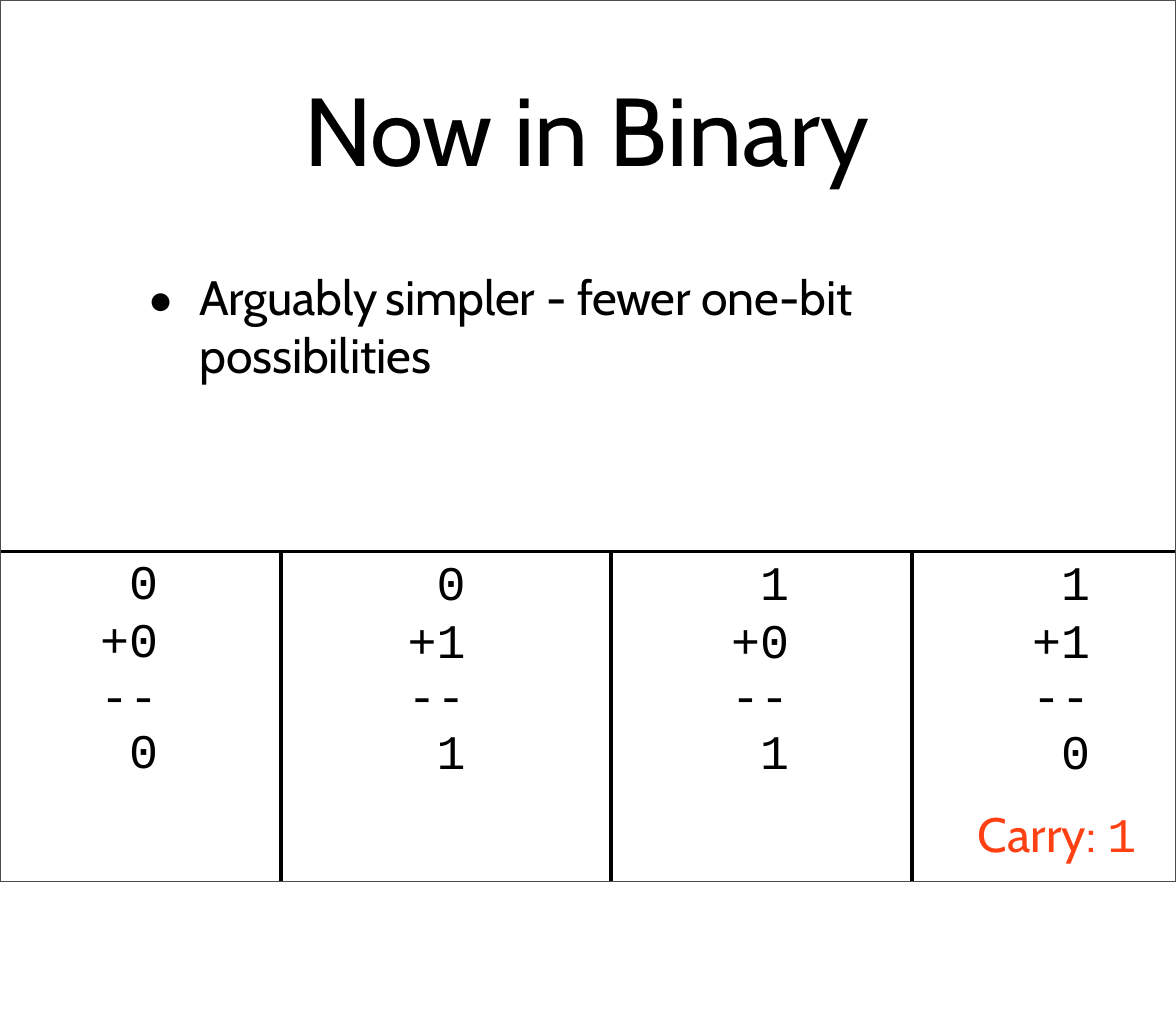
from lxml import etree
from pptx import Presentation
from pptx.dml.color import RGBColor
from pptx.enum.shapes import MSO_CONNECTOR, MSO_SHAPE
from pptx.enum.text import MSO_ANCHOR, MSO_AUTO_SIZE, PP_ALIGN
from pptx.oxml.ns import qn
from pptx.util import Pt

PX = 9144
COLORS = {"text": "000000", "carry": "FF4013", "frame": "4C4C4C"}
SANS, MONO = "Cabin", "Courier New"
WIDTH, HEIGHT, PANEL_H = 1422, 1247, 1066
TABLE_X, TABLE_Y = 117, 667
COLUMN_WIDTHS = [223, 399, 364, 218]
RIGHT_INSETS = [149, 176, 149, 3]
ROW_HEIGHTS = [86, 67, 67, 67]
SUMS = [("0", "+0", "--", "0"), ("0", "+1", "--", "1"),
        ("1", "+0", "--", "1"), ("1", "+1", "--", "0")]


def px(*values):
    return [round(v * PX) for v in values]


def rgb(name):
    return RGBColor.from_string(COLORS[name])


def add_run(p, text, size=42, font=SANS, color="text", spacing=0):
    r = p.add_run()
    r.text = text
    r.font.size = Pt(size)
    r.font.name = font
    r.font.bold = False
    r.font.color.rgb = rgb(color)
    if spacing:
        r._r.get_or_add_rPr().set("spc", str(spacing))


def add_text(slide, box):
    tf = slide.shapes.add_textbox(*px(*box)).text_frame
    tf.word_wrap = True
    tf.auto_size = MSO_AUTO_SIZE.SHAPE_TO_FIT_TEXT
    tf.margin_left = tf.margin_right = tf.margin_bottom = 0
    tf.margin_top = PX
    return tf.paragraphs[0]


def add_title(slide, box):
    p = add_text(slide, box)
    for text, spacing in [("Now ", -30), ("in ", -10), ("Binary", 40)]:
        add_run(p, text, 84, spacing=spacing)


def add_bullet(slide, box):
    p = add_text(slide, box)
    pPr = p._p.get_or_add_pPr()
    pPr.set("marL", str(63 * PX))
    pPr.set("indent", str(-61 * PX))
    etree.SubElement(pPr, qn("a:buSzPct")).set("val", "170000")
    etree.SubElement(pPr, qn("a:buFont")).set("typeface", SANS)
    etree.SubElement(pPr, qn("a:buChar")).set("char", "•")
    tabs = etree.SubElement(pPr, qn("a:tabLst"))
    for pos in (63, 288):
        tab = etree.SubElement(tabs, qn("a:tab"))
        tab.set("pos", str(pos * PX))
        tab.set("algn", "l")
    for text, spacing in [("Arguably\tsimpler ", -10), ("- ", 0), ("fewer ", -40),
                          ("one-bit ", 0), ("possibilities", -10)]:
        add_run(p, text, spacing=spacing)


def add_sums(slide, x, y):
    box = px(x, y, sum(COLUMN_WIDTHS), sum(ROW_HEIGHTS))
    table = slide.shapes.add_table(len(ROW_HEIGHTS), len(SUMS), *box).table
    table.first_row = table.horz_banding = False
    for row, height in zip(table.rows, ROW_HEIGHTS):
        row.height = height * PX
    for col, (width, inset, digits) in enumerate(zip(COLUMN_WIDTHS, RIGHT_INSETS, SUMS)):
        table.columns[col].width = width * PX
        for row, text in enumerate(digits):
            cell = table.cell(row, col)
            cell.fill.background()
            cell.vertical_anchor = MSO_ANCHOR.TOP
            cell.margin_left = cell.margin_bottom = 0
            cell.margin_right = inset * PX
            cell.margin_top = 0 if row else (11 if col else 10) * PX
            p = cell.text_frame.paragraphs[0]
            p.alignment = PP_ALIGN.RIGHT
            if row:
                p.line_spacing = Pt(43.9 if col else 43.4)
            add_run(p, text, font=MONO)


def add_rule(slide, x1, y1, x2, y2):
    line = slide.shapes.add_connector(MSO_CONNECTOR.STRAIGHT, *px(x1, y1, x2, y2))
    line.line.color.rgb = rgb("text")
    line.line.width = Pt(3)
    etree.SubElement(line._element.spPr, qn("a:effectLst"))


def add_grid(slide, x, y, bottom):
    add_rule(slide, 0, y, WIDTH, y)
    for col in range(1, len(COLUMN_WIDTHS)):
        divider = x + sum(COLUMN_WIDTHS[:col])
        add_rule(slide, divider, y - 2, divider, bottom)


def add_carry(slide, box):
    p = add_text(slide, box)
    add_run(p, "Carry: ", color="carry", spacing=10)
    add_run(p, "1", font=MONO, color="carry")


def add_frame(slide, box):
    sp = slide.shapes.add_shape(MSO_SHAPE.RECTANGLE, *px(*box))
    sp.shadow.inherit = False
    sp.fill.background()
    sp.line.color.rgb = rgb("frame")
    sp.line.width = Pt(1)


def main():
    prs = Presentation()
    prs.slide_width, prs.slide_height = px(WIDTH, HEIGHT)
    s = prs.slides.add_slide(prs.slide_layouts[6])
    add_title(s, (368, 84, 690, 143))
    add_bullet(s, (178, 322, 1118, 73))
    add_sums(s, TABLE_X, TABLE_Y)
    add_grid(s, TABLE_X, TABLE_Y, PANEL_H)
    add_carry(s, (1182, 972, 200, 73))
    add_frame(s, (0, 0, WIDTH, PANEL_H))
    prs.save("out.pptx")


if __name__ == "__main__":
    main()
